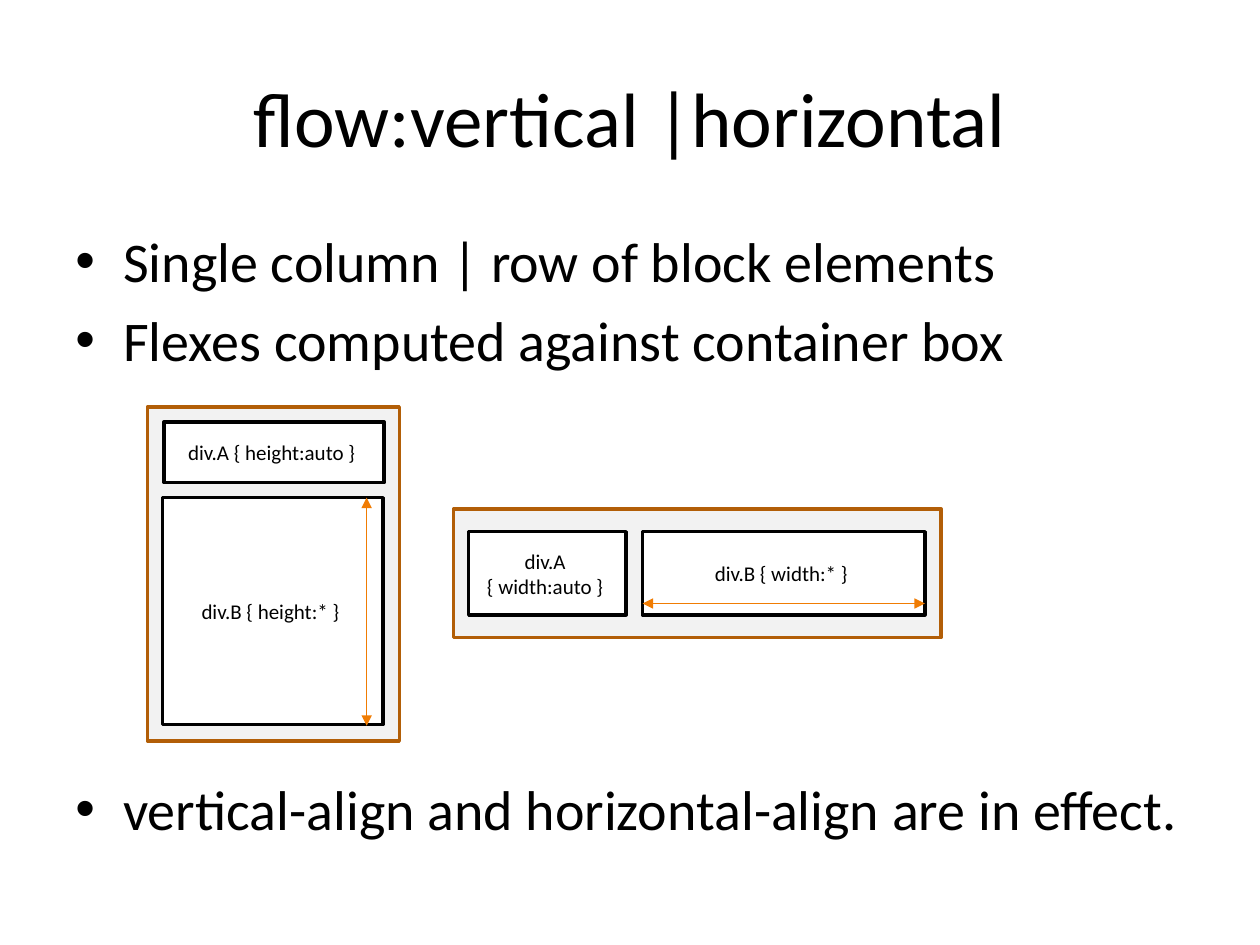
"""Build a slide that explains vertical and horizontal flow of block elements."""
from dataclasses import dataclass

from lxml import etree
from pptx import Presentation
from pptx.dml.color import RGBColor
from pptx.enum import shapes, text
from pptx.oxml import ns
from pptx.util import Inches, Pt

FONT = "Calibri"
BLACK = RGBColor(0x00, 0x00, 0x00)
WHITE = RGBColor(0xFF, 0xFF, 0xFF)
PALE_GREY = RGBColor(0xF2, 0xF2, 0xF2)
BROWN = RGBColor(0xB2, 0x5E, 0x07)
ORANGE = RGBColor(0xF0, 0x7C, 0x03)
BULLET_INDENT = Inches(0.38)


@dataclass(frozen=True)
class Box:
    left: float
    top: float
    width: float
    height: float
    lines: tuple[str, ...] = ()
    fill: RGBColor = WHITE
    border: RGBColor = BLACK


@dataclass(frozen=True)
class Span:
    start: tuple[float, float]
    end: tuple[float, float]


@dataclass(frozen=True)
class Bullet:
    wording: str
    space_before: float = 6.4


BULLETS = (
    Bullet("Single column | row of block elements"),
    Bullet("Flexes computed against container box"),
    Bullet("vertical-align and horizontal-align are in effect.", 230),
)
BOXES = (
    Box(1.17, 3.23, 2, 2.65, fill=PALE_GREY, border=BROWN),
    Box(1.3, 3.35, 1.75, 0.48, ("div.A { height:auto } ",)),
    Box(1.29, 3.95, 1.75, 1.8, ("div.B { height:* } ",)),
    Box(3.6, 4.04, 3.87, 1.02, fill=PALE_GREY, border=BROWN),
    Box(3.72, 4.22, 1.25, 0.66, ("div.A ", "{ width:auto } ")),
    Box(5.1, 4.22, 2.24, 0.66, ("div.B { width:* } ",)),
)
SPANS = (
    Span((2.91, 3.95), (2.91, 5.76)),
    Span((5.1, 4.79), (7.34, 4.79)),
)


def add_run(paragraph, wording: str, size: float) -> None:
    """Append one styled run to a paragraph."""
    run = paragraph.add_run()
    run.text = wording
    run.font.name = FONT
    run.font.size = Pt(size)
    run.font.color.rgb = BLACK


def add_text_frame(slide, left: float, top: float, width: float, height: float):
    """Add a wrapping text box and return its text frame."""
    frame = slide.shapes.add_textbox(
        Inches(left), Inches(top), Inches(width), Inches(height)
    ).text_frame
    frame.word_wrap = True
    return frame


def add_title(slide, wording: str) -> None:
    """Add the centred slide title."""
    frame = add_text_frame(slide, 0.5, 0.3, 9, 1.25)
    frame.vertical_anchor = text.MSO_ANCHOR.MIDDLE
    heading = frame.paragraphs[0]
    heading.alignment = text.PP_ALIGN.CENTER
    add_run(heading, wording, 44)


def add_bullets(slide, bullets: tuple[Bullet, ...]) -> None:
    """Add the bulleted statements around the diagrams."""
    frame = add_text_frame(slide, 0.5, 1.75, 9, 4.95)
    for index, bullet in enumerate(bullets):
        statement = frame.add_paragraph() if index else frame.paragraphs[0]
        statement.space_before = Pt(bullet.space_before)
        add_run(statement, bullet.wording, 32)
        properties = statement._p.get_or_add_pPr()
        properties.set("marL", str(BULLET_INDENT))
        properties.set("indent", str(-BULLET_INDENT))
        etree.SubElement(properties, ns.qn("a:buFont"), typeface="Arial")
        etree.SubElement(properties, ns.qn("a:buChar"), char="•")


def add_box(slide, box: Box) -> None:
    """Draw a container or a labelled block element."""
    block = slide.shapes.add_shape(
        shapes.MSO_SHAPE.RECTANGLE,
        Inches(box.left), Inches(box.top), Inches(box.width), Inches(box.height),
    )
    block.shadow.inherit = False
    block.fill.solid()
    block.fill.fore_color.rgb = box.fill
    block.line.color.rgb = box.border
    block.line.width = Pt(2)
    frame = block.text_frame
    frame.word_wrap = True
    frame.vertical_anchor = text.MSO_ANCHOR.MIDDLE
    label = frame.paragraphs[0]
    label.alignment = text.PP_ALIGN.CENTER
    for index, line in enumerate(box.lines):
        if index:
            label.add_line_break()
        add_run(label, line, 12)


def add_span(slide, span: Span) -> None:
    """Draw a double-headed arrow along a flexible dimension."""
    arrow = slide.shapes.add_connector(
        shapes.MSO_CONNECTOR.STRAIGHT,
        *map(Inches, span.start), *map(Inches, span.end),
    )
    arrow.line.color.rgb = ORANGE
    arrow.line.width = Pt(0.75)
    outline = arrow.line._get_or_add_ln()
    for tip in ("a:headEnd", "a:tailEnd"):
        etree.SubElement(outline, ns.qn(tip), type="triangle")
    etree.SubElement(arrow._element.spPr, ns.qn("a:effectLst"))


def main() -> None:
    """Compose and save the slide."""
    deck = Presentation()
    deck.slide_width, deck.slide_height = Inches(10), Inches(7.5)
    slide = deck.slides.add_slide(deck.slide_layouts[6])
    add_title(slide, "flow:vertical |horizontal")
    add_bullets(slide, BULLETS)
    for box in BOXES:
        add_box(slide, box)
    for span in SPANS:
        add_span(slide, span)
    deck.save("out.pptx")


if __name__ == "__main__":
    main()
